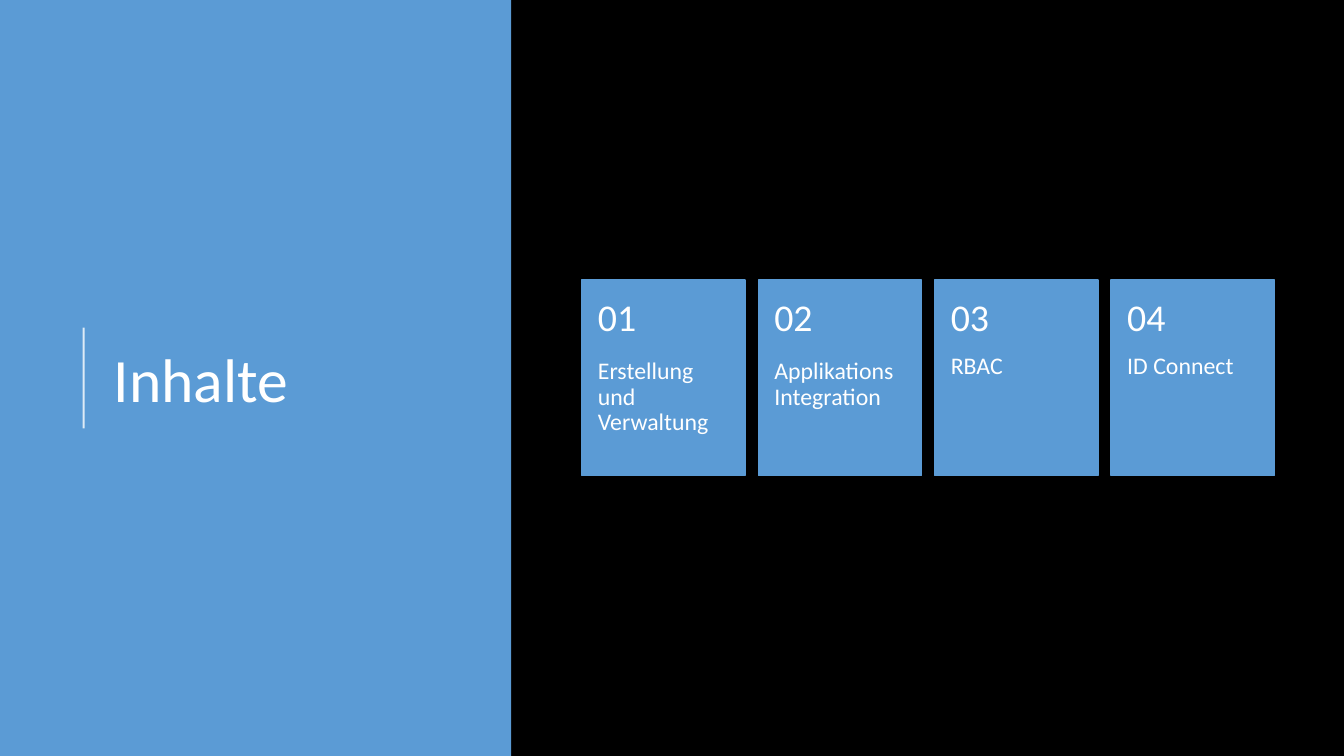
from lxml import etree
from pptx import Presentation
from pptx.dml.color import RGBColor
from pptx.enum.shapes import MSO_CONNECTOR, MSO_SHAPE
from pptx.enum.text import MSO_ANCHOR
from pptx.oxml.ns import qn
from pptx.util import Inches, Pt

RECTANGLE = MSO_SHAPE.RECTANGLE
STRAIGHT = MSO_CONNECTOR.STRAIGHT
TOP, MIDDLE = MSO_ANCHOR.TOP, MSO_ANCHOR.MIDDLE

COLORS = {"background": "000000", "accent": "5B9BD5", "text": "FFFFFF"}
TOPICS = ["Erstellung und Verwaltung", "Applikations Integration", "RBAC", "ID Connect"]

CARD_LEFT, CARD_TOP, CARD_PITCH = 5.77, 2.78, 1.75
CARD_WIDTH, NUMBER_HEIGHT, TOPIC_HEIGHT = 1.62, 0.78, 1.16


class AgendaSlide:
    font = "Calibri"

    def __init__(self, slide):
        self.slide = slide
        background = slide.background.fill
        background.solid()
        background.fore_color.rgb = self.color("background")

    def color(self, name):
        return RGBColor.from_string(COLORS[name])

    def block(self, left, top, width, height, outlined=False):
        block = self.slide.shapes.add_shape(
            RECTANGLE, Inches(left), Inches(top), Inches(width), Inches(height))
        block.shadow.inherit = False
        block.fill.solid()
        block.fill.fore_color.rgb = self.color("accent")
        if outlined:
            block.line.color.rgb = self.color("accent")
            block.line.width = Pt(1)
        else:
            block.line.fill.background()

    def rule(self, x, start, end, opacity):
        rule = self.slide.shapes.add_connector(
            STRAIGHT, Inches(x), Inches(start), Inches(x), Inches(end))
        rule.line.color.rgb = self.color("text")
        rule.line.width = Pt(1.5)
        properties = rule._element.spPr
        tint = properties.find(".//" + qn("a:srgbClr"))
        etree.SubElement(tint, qn("a:alpha"), val=str(opacity * 1000))
        etree.SubElement(properties, qn("a:effectLst"))

    def text(self, wording, left, top, width, height, size, anchor=MIDDLE,
             insets=(0.1, 0.05, 0.1, 0.05), space_after=0):
        box = self.slide.shapes.add_textbox(
            Inches(left), Inches(top), Inches(width), Inches(height))
        frame = box.text_frame
        frame.word_wrap = True
        frame.vertical_anchor = anchor
        (frame.margin_left, frame.margin_top,
         frame.margin_right, frame.margin_bottom) = map(Inches, insets)
        paragraph = frame.paragraphs[0]
        paragraph.text = wording
        paragraph.line_spacing = 0.9
        paragraph.space_after = Pt(space_after)
        paragraph.font.name = self.font
        paragraph.font.size = Pt(size)
        paragraph.font.color.rgb = self.color("text")

    def card(self, number, topic):
        left = CARD_LEFT + (number - 1) * CARD_PITCH
        self.block(left, CARD_TOP, CARD_WIDTH, NUMBER_HEIGHT + TOPIC_HEIGHT, outlined=True)
        self.text(topic, left, CARD_TOP + NUMBER_HEIGHT, CARD_WIDTH, TOPIC_HEIGHT, 17,
                  anchor=TOP, insets=(0.16, 0, 0.16, 0.36), space_after=6)
        self.text(f"{number:02d}", left, CARD_TOP, CARD_WIDTH, NUMBER_HEIGHT, 27,
                  insets=(0.16, 0.18, 0.16, 0.18))


def main():
    deck = Presentation()
    deck.slide_width, deck.slide_height = Inches(13.33), Inches(7.5)
    agenda = AgendaSlide(deck.slides.add_slide(deck.slide_layouts[6]))
    agenda.block(0, 0, 5.07, 7.5)
    agenda.rule(0.83, 4.25, 3.25, opacity=80)
    agenda.text("Inhalte", 1.03, 0.78, 3.69, 6.02, 44)
    for number, topic in enumerate(TOPICS, start=1):
        agenda.card(number, topic)
    deck.save("out.pptx")


if __name__ == "__main__":
    main()
